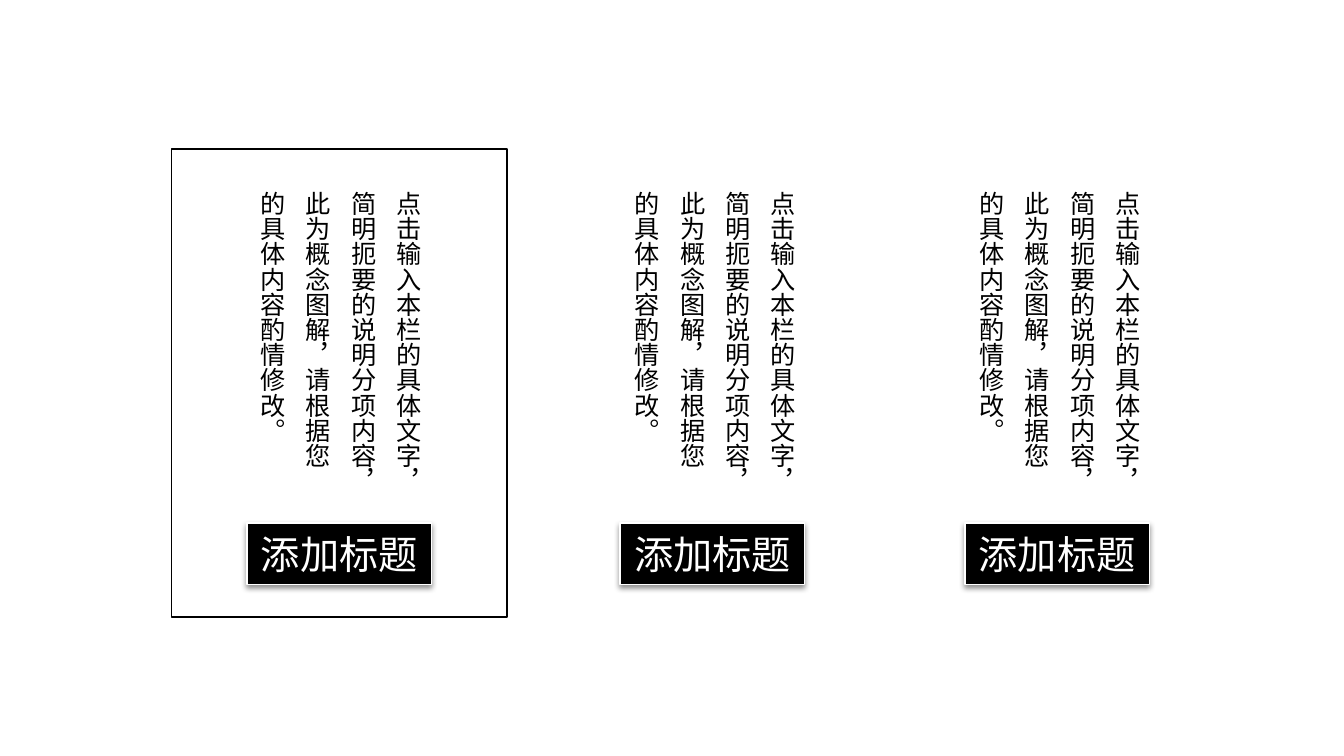
from lxml.etree import SubElement
from pptx import Presentation
from pptx.dml.color import RGBColor
from pptx.enum.shapes import MSO_SHAPE as Shape
from pptx.enum.text import MSO_ANCHOR as Anchor, MSO_AUTO_SIZE as AutoSize, PP_ALIGN as Align
from pptx.oxml.ns import qn
from pptx.util import Inches, Pt

BODY = "点击输入本栏的具体文字，简明扼要的说明分项内容，此为概念图解，请根据您的具体内容酌情修改。"
COLUMNS = [
    {"left": 2.38, "label_left": 2.45, "label": "添加标题", "body": BODY},
    {"left": 6.09, "label_left": 6.15, "label": "添加标题", "body": BODY},
    {"left": 9.51, "label_left": 9.57, "label": "添加标题", "body": BODY},
]
FRAME = (1.7, 1.48, 3.33, 4.64)
BODY_TOP, BODY_WIDTH, BODY_HEIGHT = 1.8, 2.02, 3.15
LABEL_TOP, LABEL_WIDTH, LABEL_HEIGHT = 5.19, 1.83, 0.61
FONT = "Noto Sans CJK SC"
BLACK = RGBColor(0x00, 0x00, 0x00)
WHITE = RGBColor(0xFF, 0xFF, 0xFF)


def add_span(para, text, size, color):
    span = para.add_run()
    span.text = text
    span.font.size = Pt(size)
    span.font.name = FONT
    span.font.color.rgb = color
    SubElement(span.font._element, qn("a:ea"), typeface=FONT)


def add_rectangle(page, place, line_color):
    box = page.shapes.add_shape(Shape.RECTANGLE, *map(Inches, place))
    box.shadow.inherit = False
    box.line.color.rgb = line_color
    box.line.width = Pt(1)
    return box


def add_drop_shadow(box):
    effects = box._element.spPr.find(qn("a:effectLst"))
    shadow = SubElement(effects, qn("a:outerShdw"), blurRad=str(Pt(4)),
                        dist=str(Pt(2)), dir="5400000", rotWithShape="0")
    color = SubElement(shadow, qn("a:srgbClr"), val=str(BLACK))
    SubElement(color, qn("a:alpha"), val="43000")


def add_body(page, left, text):
    place = (left, BODY_TOP, BODY_WIDTH, BODY_HEIGHT)
    box = page.shapes.add_textbox(*map(Inches, place))
    frame = box.text_frame
    frame.word_wrap = True
    frame.auto_size = AutoSize.SHAPE_TO_FIT_TEXT
    frame._txBody.bodyPr.set("vert", "eaVert")
    para = frame.paragraphs[0]
    para.line_spacing = 1.5
    add_span(para, text, 18, BLACK)


def add_label(page, left, text):
    box = add_rectangle(page, (left, LABEL_TOP, LABEL_WIDTH, LABEL_HEIGHT), WHITE)
    box.fill.solid()
    box.fill.fore_color.rgb = BLACK
    add_drop_shadow(box)
    box.text_frame.word_wrap = True
    box.text_frame.vertical_anchor = Anchor.MIDDLE
    para = box.text_frame.paragraphs[0]
    para.alignment = Align.CENTER
    add_span(para, text, 28, WHITE)


def main():
    deck = Presentation()
    deck.slide_width, deck.slide_height = Inches(13.33), Inches(7.5)
    page = deck.slides.add_slide(deck.slide_layouts[6])
    add_rectangle(page, FRAME, BLACK).fill.background()
    for column in COLUMNS:
        add_body(page, column["left"], column["body"])
    for column in COLUMNS:
        add_label(page, column["label_left"], column["label"])
    deck.save("out.pptx")


if __name__ == "__main__":
    main()
